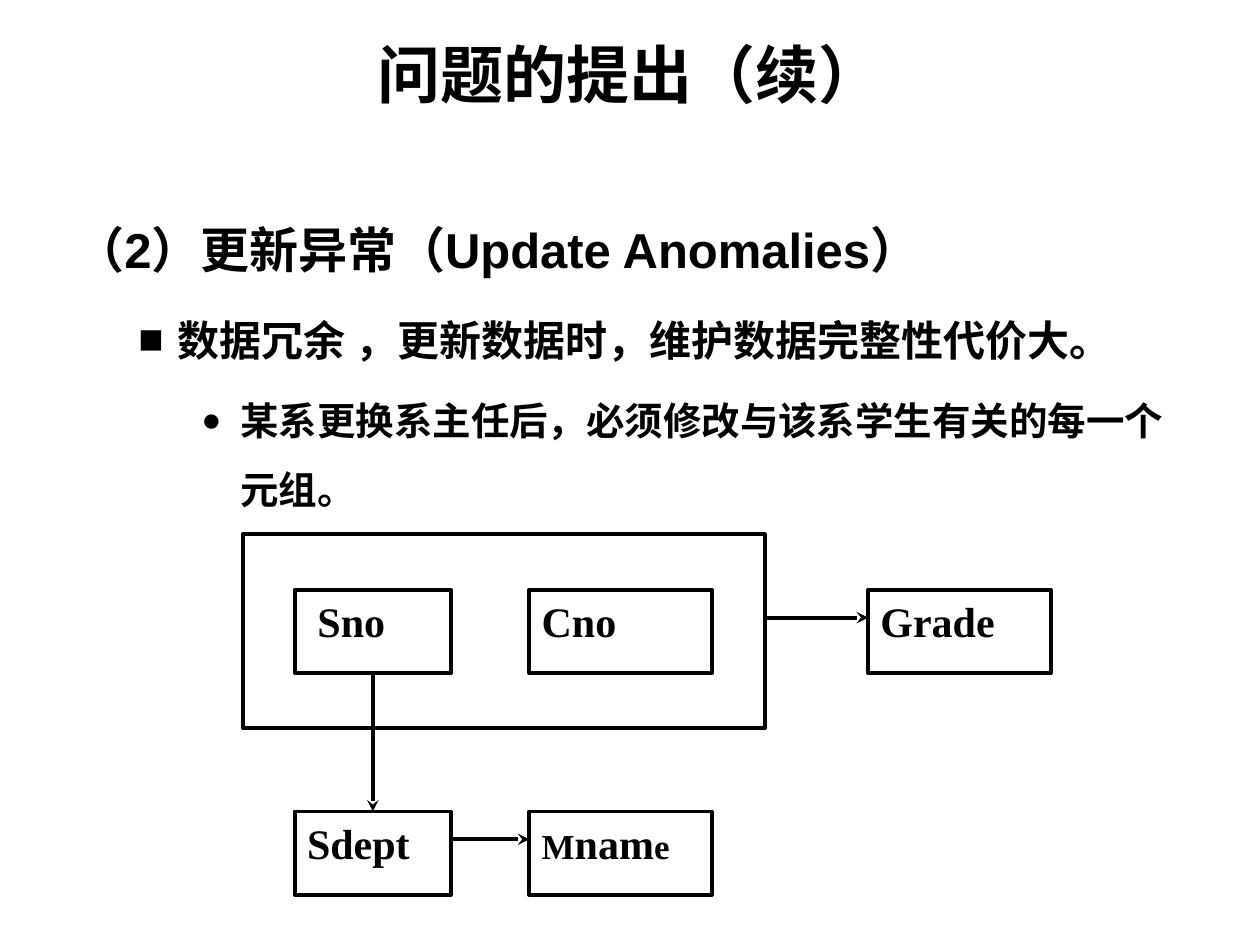
from lxml import etree
from pptx import Presentation
from pptx.dml.color import RGBColor
from pptx.enum.shapes import MSO_CONNECTOR, MSO_SHAPE
from pptx.enum.text import MSO_ANCHOR, PP_ALIGN
from pptx.oxml.ns import qn
from pptx.util import Cm, Pt

RECTANGLE = MSO_SHAPE.RECTANGLE
STRAIGHT = MSO_CONNECTOR.STRAIGHT
TOP, MIDDLE = MSO_ANCHOR.TOP, MSO_ANCHOR.MIDDLE
CENTER, JUSTIFY, LEFT = PP_ALIGN.CENTER, PP_ALIGN.JUSTIFY, PP_ALIGN.LEFT

# Content
TITLE = "问题的提出（续）"
# text, size key, left margin, hanging indent (cm), space before (pt), bullet, bullet size %
OUTLINE = [
    ("（2）更新异常（Update Anomalies）", "heading", 0.95, 0.95, 0, None, None),
    ("数据冗余 ，更新数据时，维护数据完整性代价大。", "point", 2.06, 0.79, 6, "■", 100),
    ("某系更换系主任后，必须修改与该系学生有关的每一个元组。", "detail", 3.33, 0.79, 5.5, "●", 87),
]
# column, row, runs of (text, size key)
ATTRIBUTES = {
    "Sno": (0, 0, [(" Sno", "label")]),
    "Cno": (1, 0, [("Cno", "label")]),
    "Grade": (2, 0, [("Grade", "label")]),
    "Sdept": (0, 1, [("Sdept", "label")]),
    "Mname": (1, 1, [("M", "small"), ("nam", "label"), ("e", "small")]),
}

THEME = {
    "ink": RGBColor(0, 0, 0),
    "body_font": "Arial",
    "label_font": "Times New Roman",
    "line": Pt(2.25),
    "sizes": {"title": 36, "heading": 28, "point": 24, "detail": 22, "label": 24, "small": 20},
}

# Diagram grid, in centimetres
COLUMNS = [(5.94, 3.15), (10.67, 3.68), (17.5, 3.68)]
ROWS = [11.89, 16.36]
BOX_HEIGHT = 1.68
KEY_FRAME = (4.9, 10.77, 10.52, 3.91)
ARROW_DROP = BOX_HEIGHT / 3


def style_font(font, size, name):
    font.size = Pt(THEME["sizes"][size])
    font.name = name
    font.bold = True
    font.color.rgb = THEME["ink"]


def add_text_box(slide, left, top, width, height, anchor):
    frame = slide.shapes.add_textbox(Cm(left), Cm(top), Cm(width), Cm(height)).text_frame
    frame.word_wrap = True
    frame.vertical_anchor = anchor
    return frame


def set_bullet(paragraph, margin, hanging, bullet, percent):
    properties = paragraph._p.get_or_add_pPr()
    properties.set("marL", str(Cm(margin)))
    properties.set("indent", str(-Cm(hanging)))
    if bullet:
        etree.SubElement(properties, qn("a:buSzPct")).set("val", str(percent * 1000))
        etree.SubElement(properties, qn("a:buFont")).set("typeface", THEME["body_font"])
        etree.SubElement(properties, qn("a:buChar")).set("char", bullet)
    else:
        etree.SubElement(properties, qn("a:buNone"))


def add_box(group, left, top, width, height):
    shape = group.shapes.add_shape(RECTANGLE, Cm(left), Cm(top), Cm(width), Cm(height))
    shape.shadow.inherit = False
    shape.fill.background()
    shape.line.color.rgb = THEME["ink"]
    shape.line.width = THEME["line"]
    return shape


def add_attribute(group, column, row, runs):
    left, width = COLUMNS[column]
    frame = add_box(group, left, ROWS[row], width, BOX_HEIGHT).text_frame
    frame.word_wrap = True
    frame.vertical_anchor = TOP
    paragraph = frame.paragraphs[0]
    paragraph.alignment = JUSTIFY
    for text, size in runs:
        run = paragraph.add_run()
        run.text = text
        style_font(run.font, size, THEME["label_font"])


def add_arrow(group, start, end):
    points = [Cm(value) for value in (*start, *end)]
    connector = group.shapes.add_connector(STRAIGHT, *points)
    connector.line.color.rgb = THEME["ink"]
    connector.line.width = THEME["line"]
    line = connector.line._get_or_add_ln()
    etree.SubElement(line, qn("a:tailEnd")).set("type", "stealth")
    etree.SubElement(connector._element.spPr, qn("a:effectLst"))


def main():
    presentation = Presentation()
    presentation.slide_width, presentation.slide_height = Cm(25.4), Cm(19.05)
    slide = presentation.slides.add_slide(presentation.slide_layouts[6])

    # Title
    paragraph = add_text_box(slide, 1.27, -0.1, 22.86, 3.15, MIDDLE).paragraphs[0]
    paragraph.text = TITLE
    paragraph.alignment = CENTER
    style_font(paragraph.font, "title", THEME["body_font"])

    # Outline
    frame = add_text_box(slide, 1.27, 3.71, 22.86, 13.49, TOP)
    for index, (text, size, margin, hanging, before, bullet, percent) in enumerate(OUTLINE):
        paragraph = frame.add_paragraph() if index else frame.paragraphs[0]
        paragraph.text = text
        paragraph.level = index
        paragraph.alignment = LEFT
        paragraph.line_spacing = 1.5
        paragraph.space_before = Pt(before)
        set_bullet(paragraph, margin, hanging, bullet, percent)
        style_font(paragraph.font, size, THEME["body_font"])

    # Dependency diagram: key frame, attributes, arrows
    group = slide.shapes.add_group_shape()
    add_box(group, *KEY_FRAME)
    for column, row, runs in ATTRIBUTES.values():
        add_attribute(group, column, row, runs)

    first_left, first_width = COLUMNS[0]
    first_center = first_left + first_width / 2
    key_y, department_y = (top + ARROW_DROP for top in ROWS)
    add_arrow(group, (first_center, ROWS[0] + BOX_HEIGHT), (first_center, ROWS[1]))
    add_arrow(group, (first_left + first_width, department_y), (COLUMNS[1][0], department_y))
    add_arrow(group, (KEY_FRAME[0] + KEY_FRAME[2], key_y), (COLUMNS[2][0], key_y))

    presentation.save("out.pptx")


if __name__ == "__main__":
    main()
